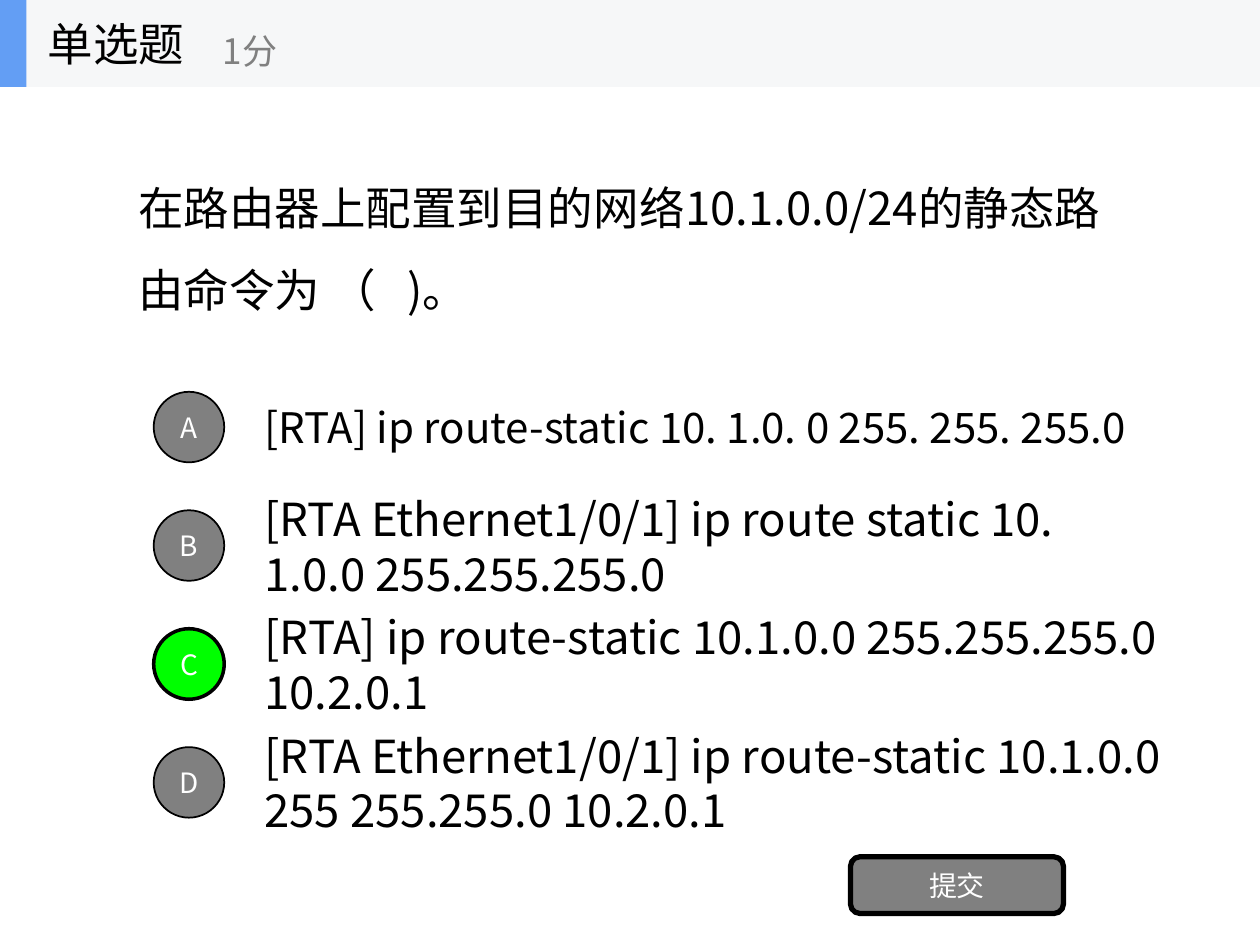
import pptx
import pptx.dml.color
import pptx.enum.shapes
import pptx.enum.text
import pptx.oxml.ns
import pptx.util
from lxml import etree

Inches = pptx.util.Inches
Pt = pptx.util.Pt
Shape = pptx.enum.shapes.MSO_SHAPE
Align = pptx.enum.text.PP_ALIGN
Anchor = pptx.enum.text.MSO_ANCHOR

FONT = "Noto Sans CJK SC"
BLACK, WHITE, GREY = "000000", "FFFFFF", "808080"
GREEN, BLUE, PALE = "00FF00", "639EF4", "F6F7F8"


def colour(value):
    return pptx.dml.color.RGBColor.from_string(value)


def apply_format(target, values):
    for name, value in values.items():
        setattr(target, name, value)


class QuizPage:
    def __init__(self, page, font):
        self.shapes = page.shapes
        self.font = font

    def set_text(self, shape, text, size, ink, para_format, frame_format):
        frame = shape.text_frame
        apply_format(frame, {"word_wrap": True, "vertical_anchor": Anchor.MIDDLE, **frame_format})
        para = frame.paragraphs[0]
        apply_format(para, para_format)
        span = para.add_run()
        span.text = text
        span.font.color.rgb = colour(ink)
        apply_format(span.font, {"size": Pt(size), "name": self.font})
        properties = span._r.get_or_add_rPr()
        east_asian = etree.SubElement(properties, pptx.oxml.ns.qn("a:ea"))
        east_asian.set("typeface", self.font)

    def text(self, place, text, size, ink=BLACK, spacing=1.0, shapes=None):
        box = (shapes or self.shapes).add_textbox(*map(Inches, place))
        para_format = {"alignment": Align.LEFT, "line_spacing": spacing}
        self.set_text(box, text, size, ink, para_format, {})

    def block(self, kind, place, fill, line_width=0, shapes=None):
        shape = (shapes or self.shapes).add_shape(kind, *map(Inches, place))
        shape.shadow.inherit = False
        shape.fill.solid()
        shape.fill.fore_color.rgb = colour(fill)
        if line_width:
            shape.line.color.rgb = colour(BLACK)
            shape.line.width = Pt(line_width)
        else:
            shape.line.fill.background()
        return shape

    def button(self, kind, place, text, fill, line_width):
        shape = self.block(kind, place, fill, line_width)
        margins = dict.fromkeys(
            ("margin_left", "margin_right", "margin_top", "margin_bottom"), 0
        )
        self.set_text(shape, text, 16, WHITE, {"alignment": Align.CENTER}, margins)

    def header(self, title, score):
        shapes = self.shapes.add_group_shape().shapes
        height = 0.69
        self.block(Shape.RECTANGLE, (0, 0, 10, height), PALE, shapes=shapes)
        self.block(Shape.RECTANGLE, (0, 0, 0.21, height), BLUE, shapes=shapes)
        self.text((0.28, 0, 2.08, height), title, 26, shapes=shapes)
        self.text((1.67, 0.12, 2.5, 0.56), score, 20, GREY, shapes=shapes)


def main():
    deck = pptx.Presentation()
    apply_format(deck, {"slide_width": Inches(10), "slide_height": Inches(7.5)})
    quiz = QuizPage(deck.slides.add_slide(deck.slide_layouts[6]), FONT)

    question = "在路由器上配置到目的网络10.1.0.0/24的静态路由命令为 （   )。"
    quiz.text((1, 0.69, 8, 2.34), question, 26, spacing=1.5)

    answers = [
        ("A", "[RTA] ip route-static 10. 1.0. 0 255. 255. 255.0", 7.86, 0.94, 24),
        ("B", "[RTA Ethernet1/0/1] ip route static 10. 1.0.0 255.255.255.0", 7, 0.7, 26),
        ("C", "[RTA] ip route-static 10.1.0.0 255.255.255.0 10.2.0.1", 7.72, 0.7, 26),
        ("D", "[RTA Ethernet1/0/1] ip route-static 10.1.0.0 255 255.255.0 10.2.0.1", 7.72, 0.7, 26),
    ]
    correct = "C"
    first_middle, pitch, badge = 3.39, 0.94, 0.56
    for row, (letter, answer, width, height, size) in enumerate(answers):
        middle = first_middle + row * pitch
        quiz.text((2, middle - height / 2, width, height), answer, size)
        fill, line_width = (GREEN, 2) if letter == correct else (GREY, 1)
        place = (1.22, middle - badge / 2, badge, badge)
        quiz.button(Shape.OVAL, place, letter, fill, line_width)

    quiz.button(Shape.ROUNDED_RECTANGLE, (6.75, 6.8, 1.69, 0.45), "提交", GREY, 3)
    quiz.header("单选题", "1分")
    deck.save("out.pptx")


if __name__ == "__main__":
    main()
